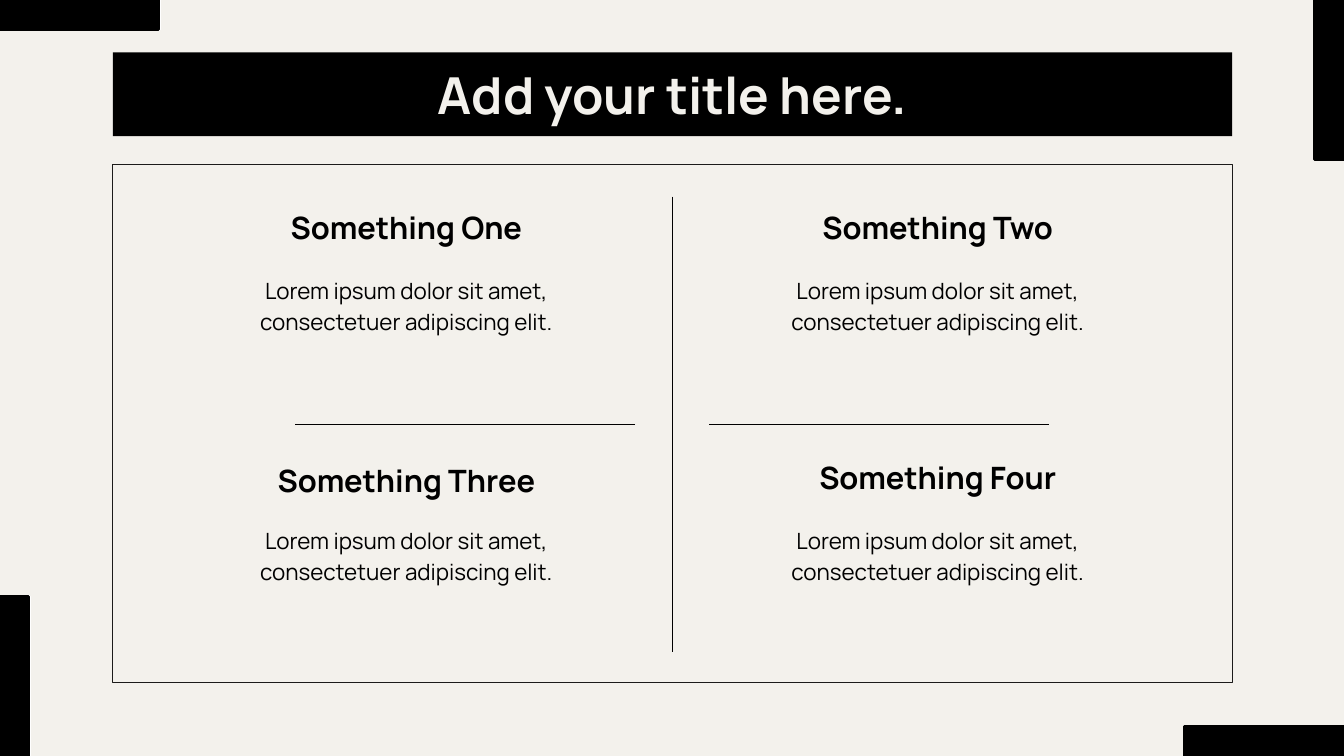
from pptx import Presentation
from pptx.dml.color import RGBColor
from pptx.enum import shapes, text
from pptx.util import Inches, Pt
from lxml import etree

BLACK = RGBColor(0x00, 0x00, 0x00)
WHITE = RGBColor(0xFF, 0xFF, 0xFF)
CREAM = RGBColor(0xF3, 0xF1, 0xEC)
INK = RGBColor(0x1C, 0x1B, 0x1A)
FONT = "Manrope"
LOREM = "Lorem ipsum dolor sit amet, consectetuer adipiscing elit."

deck = Presentation()
deck.slide_width, deck.slide_height = Inches(13.33), Inches(7.5)
slide = deck.slides.add_slide(deck.slide_layouts[6])
slide.background.fill.solid()
slide.background.fill.fore_color.rgb = CREAM


def add_rect(box, fill=None, line=None, width=0.75):
    rect = slide.shapes.add_shape(
        shapes.MSO_SHAPE.RECTANGLE, *[Inches(n) for n in box])
    rect.shadow.inherit = False
    if fill is None:
        rect.fill.background()
    else:
        rect.fill.solid()
        rect.fill.fore_color.rgb = fill
    if line is None:
        rect.line.fill.background()
    else:
        rect.line.color.rgb = line
        rect.line.width = Pt(width)
    return rect


def write(shape, words, size, color=BLACK, bold=False, space=1.0, after=0,
          anchor=text.MSO_ANCHOR.TOP):
    frame = shape.text_frame
    frame.word_wrap = True
    frame.vertical_anchor = anchor
    frame.margin_left = frame.margin_right = Inches(0.13)
    frame.margin_top = frame.margin_bottom = Inches(0.13)
    para = frame.paragraphs[0]
    para.alignment = text.PP_ALIGN.CENTER
    para.line_spacing = space
    para.space_after = Pt(after)
    run = para.add_run()
    run.text = words
    run.font.name = FONT
    run.font.size = Pt(size)
    run.font.bold = bold
    run.font.color.rgb = color


# Frame and dividing lines
add_rect((1.12, 1.63, 11.1, 5.14), line=INK)
for ends in ((6.67, 1.95, 6.67, 6.47),
             (6.3, 4.21, 2.93, 4.21),
             (10.4, 4.21, 7.03, 4.21)):
    rule = slide.shapes.add_connector(
        shapes.MSO_CONNECTOR.STRAIGHT, *[Inches(n) for n in ends])
    rule.line.color.rgb = BLACK
    rule.line.width = Pt(0.75)
    etree.SubElement(
        rule._element.spPr,
        "{http://schemas.openxmlformats.org/drawingml/2006/main}effectLst")

# Title bar
title = add_rect((1.12, 0.52, 11.1, 0.83), fill=BLACK)
write(title, "Add your title here.", 36.4, color=CREAM, bold=True,
      anchor=text.MSO_ANCHOR.MIDDLE)

# Four topics: heading and body
topics = (("Something One", 2.15, 2.04, 0.7),
          ("Something Two", 7.42, 2.04, 0.7),
          ("Something Three", 2.15, 4.52, 0.8),
          ("Something Four", 7.42, 4.52, 0.7))
for name, left, top, space in topics:
    head = slide.shapes.add_textbox(
        Inches(left), Inches(top), Inches(3.76), Inches(0.54))
    write(head, name, 22, bold=True, space=space)
    body = slide.shapes.add_textbox(
        Inches(left), Inches(top + 0.54), Inches(3.76), Inches(1.31))
    write(body, LOREM, 16, space=1.15, after=16)

# Corner bars: black over a white edge
LONG, THIN = 1.58, 0.29
bars = ((-0.01, 5.92, THIN, LONG),
        (13.04, 0, THIN, LONG),
        (-0.01, 0, LONG, THIN),
        (11.75, 7.21, LONG, THIN))
for color, shift in ((WHITE, 0.01), (BLACK, 0)):
    for left, top, wide, high in bars:
        add_rect((left + shift, top, wide, high), color, color, 2)

deck.save("out.pptx")
